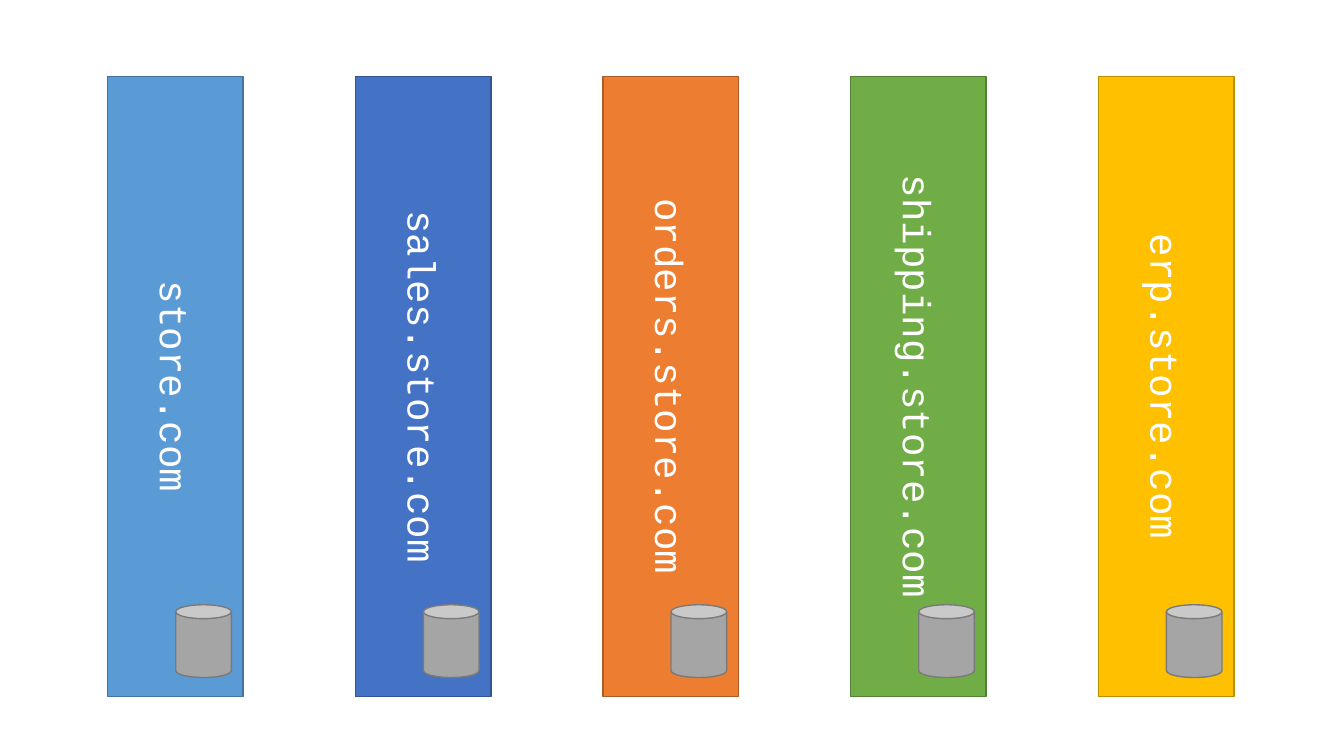
from pptx import Presentation
from pptx.dml.color import RGBColor
from pptx.enum.shapes import MSO_SHAPE
from pptx.enum.text import MSO_ANCHOR, PP_ALIGN
from pptx.util import Pt

COLOURS = {
    "store": "5B9BD5", "store_line": "43739E",
    "sales": "4472C4", "sales_line": "325491",
    "orders": "ED7D31", "orders_line": "AF5C24",
    "shipping": "70AD47", "shipping_line": "538035",
    "erp": "FFC000", "erp_line": "BD8E00",
    "database": "A5A5A5", "database_line": "7A7A7A",
    "text": "FFFFFF",
}
SERVICES = [
    ("store", "store.com"),
    ("sales", "sales.store.com"),
    ("orders", "orders.store.com"),
    ("shipping", "shipping.store.com"),
    ("erp", "erp.store.com"),
]
FIRST_LEFT, TOP, WIDTH, HEIGHT = 77, 54.5, 96.75, 443
PITCH = 176.9


def colour(name):
    return RGBColor.from_string(COLOURS[name])


def add_block(page, preset, box, name):
    """Add a preset shape filled and outlined in the named colours."""
    block = page.shapes.add_shape(preset, *(Pt(length) for length in box))
    block.shadow.inherit = False
    block.fill.solid()
    block.fill.fore_color.rgb = colour(name)
    block.line.color.rgb = colour(name + "_line")
    block.line.width = Pt(1)
    return block


def write_label(block, label):
    """Write the label down the block, centred both ways."""
    frame = block.text_frame
    for attribute, value in {"word_wrap": True,
                             "vertical_anchor": MSO_ANCHOR.MIDDLE}.items():
        setattr(frame, attribute, value)
    block.element.txBody.bodyPr.set("vert", "vert")
    para = frame.paragraphs[0]
    para.alignment = PP_ALIGN.CENTER
    span = para.add_run()
    span.text = label
    for attribute, value in {"name": "Courier New", "size": Pt(28)}.items():
        setattr(span.font, attribute, value)
    span.font.color.rgb = colour("text")


def add_service(page, box, name, label):
    """Add a service bar with its database in the lower right corner."""
    left, top, width, height = box
    write_label(add_block(page, MSO_SHAPE.RECTANGLE, box, name), label)
    database_box = (left + width - 48.2, top + height - 65.5, 39.75, 52)
    add_block(page, MSO_SHAPE.CAN, database_box, "database")


def main():
    deck = Presentation()
    deck.slide_width, deck.slide_height = Pt(960), Pt(540)
    page = deck.slides.add_slide(deck.slide_layouts[6])
    for index, (name, label) in enumerate(SERVICES):
        box = (FIRST_LEFT + index * PITCH, TOP, WIDTH, HEIGHT)
        add_service(page, box, name, label)
    deck.save("out.pptx")


if __name__ == "__main__":
    main()
